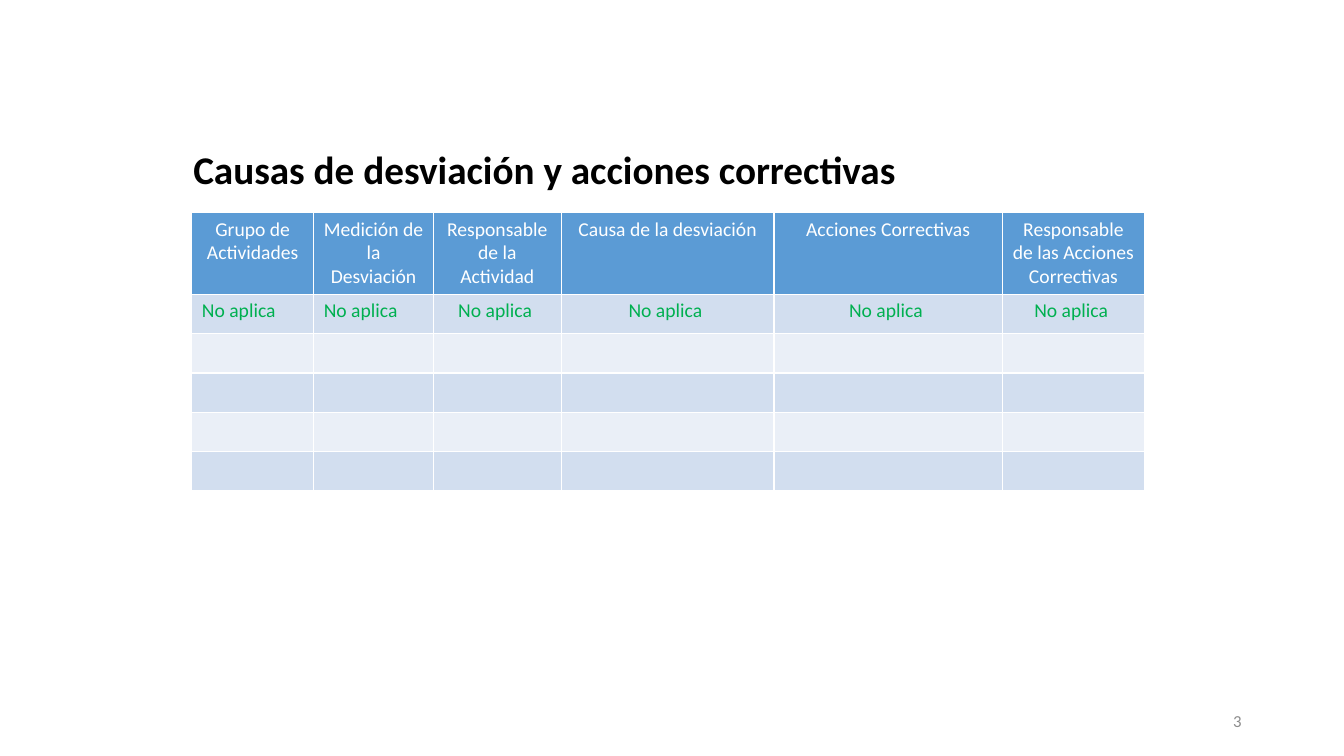
from dataclasses import dataclass

import pptx
import pptx.dml.color
import pptx.enum.text
import pptx.oxml.ns
import pptx.util
from lxml import etree

Pt = pptx.util.Pt
RGB = pptx.dml.color.RGBColor.from_string
ALIGN = pptx.enum.text.PP_ALIGN
ANCHOR = pptx.enum.text.MSO_ANCHOR
qn = pptx.oxml.ns.qn


@dataclass(frozen=True)
class Theme:
    font: str = "Calibri"
    title_color: str = "000000"
    number_color: str = "8C8C8C"
    header_text: str = "FFFFFF"
    status_text: str = "00B050"
    header_fill: str = "5B9BD5"
    band_fills: tuple[str, str] = ("D2DEEF", "EAEFF7")
    border: str = "FFFFFF"
    border_width: float = 1
    title_size: float = 28
    table_size: float = 14
    number_size: float = 12


@dataclass(frozen=True)
class Label:
    text: str
    left: float
    top: float
    width: float
    height: float
    size: float
    color: str
    bold: bool = False
    align: ALIGN = ALIGN.LEFT


@dataclass(frozen=True)
class Column:
    heading: str
    width: float
    status: str = "No aplica "
    align: ALIGN = ALIGN.CENTER


THEME = Theme()
LABELS = [
    Label("Causas de desviación y acciones correctivas", 131, 106.5, 612, 28,
          THEME.title_size, THEME.title_color, bold=True),
    Label("3", 678, 500.5, 216, 28.75,
          THEME.number_size, THEME.number_color, align=ALIGN.RIGHT),
]
COLUMNS = [
    Column("Grupo de Actividades", 87.1, "No aplica", ALIGN.LEFT),
    Column("Medición de la Desviación", 85.5, "No aplica", ALIGN.LEFT),
    Column("Responsable de la Actividad", 91.4),
    Column("Causa de la desviación", 151.9),
    Column("Acciones Correctivas", 163.2),
    Column("Responsable de las Acciones Correctivas", 101.5),
]
TABLE_LEFT, TABLE_TOP = 137, 151.7
HEADER_HEIGHT, ROW_HEIGHT, BODY_ROWS = 58.5, 28.1, 5


def format_text(p, size: float, color: str, align: ALIGN, bold: bool = False) -> None:
    p.alignment = align
    for r in p.runs:
        r.font.name = THEME.font
        r.font.size = Pt(size)
        r.font.bold = bold
        r.font.color.rgb = RGB(color)


def add_label(slide, label: Label) -> None:
    sp = slide.shapes.add_textbox(Pt(label.left), Pt(label.top),
                                  Pt(label.width), Pt(label.height))
    tf = sp.text_frame
    tf.word_wrap = True
    tf.vertical_anchor = ANCHOR.MIDDLE
    tf.text = label.text
    format_text(tf.paragraphs[0], label.size, label.color, label.align, label.bold)


def set_borders(cell) -> None:
    tc_pr = cell._tc.get_or_add_tcPr()
    for i, side in enumerate(("a:lnL", "a:lnR", "a:lnT", "a:lnB")):
        ln = etree.Element(qn(side), w=str(Pt(THEME.border_width)))
        fill = etree.SubElement(ln, qn("a:solidFill"))
        etree.SubElement(fill, qn("a:srgbClr"), val=THEME.border)
        tc_pr.insert(i, ln)


def fill_cell(cell, fill: str, text: str, color: str, align: ALIGN) -> None:
    cell.fill.solid()
    cell.fill.fore_color.rgb = RGB(fill)
    set_borders(cell)
    p = cell.text_frame.paragraphs[0]
    if text:
        p.text = text
        format_text(p, THEME.table_size, color, align)
    else:
        # An empty cell keeps the table's type size, so its row does not grow
        etree.SubElement(p._p, qn("a:endParaRPr"), sz=str(int(THEME.table_size * 100)))


def add_action_table(slide) -> None:
    width = sum(column.width for column in COLUMNS)
    height = HEADER_HEIGHT + BODY_ROWS * ROW_HEIGHT
    table = slide.shapes.add_table(BODY_ROWS + 1, len(COLUMNS), Pt(TABLE_LEFT),
                                   Pt(TABLE_TOP), Pt(width), Pt(height)).table
    table.first_row = table.horz_banding = False
    for i, row in enumerate(table.rows):
        row.height = Pt(ROW_HEIGHT if i else HEADER_HEIGHT)
    for j, column in enumerate(COLUMNS):
        table.columns[j].width = Pt(column.width)
        fill_cell(table.cell(0, j), THEME.header_fill, column.heading,
                  THEME.header_text, ALIGN.CENTER)
        for i in range(BODY_ROWS):
            fill_cell(table.cell(i + 1, j), THEME.band_fills[i % 2],
                      "" if i else column.status, THEME.status_text, column.align)


def main() -> None:
    prs = pptx.Presentation()
    prs.slide_width, prs.slide_height = Pt(960), Pt(540)
    slide = prs.slides.add_slide(prs.slide_layouts[6])
    # Title and page number
    for label in LABELS:
        add_label(slide, label)
    # Deviation causes and corrective actions
    add_action_table(slide)
    prs.save("out.pptx")


if __name__ == "__main__":
    main()
